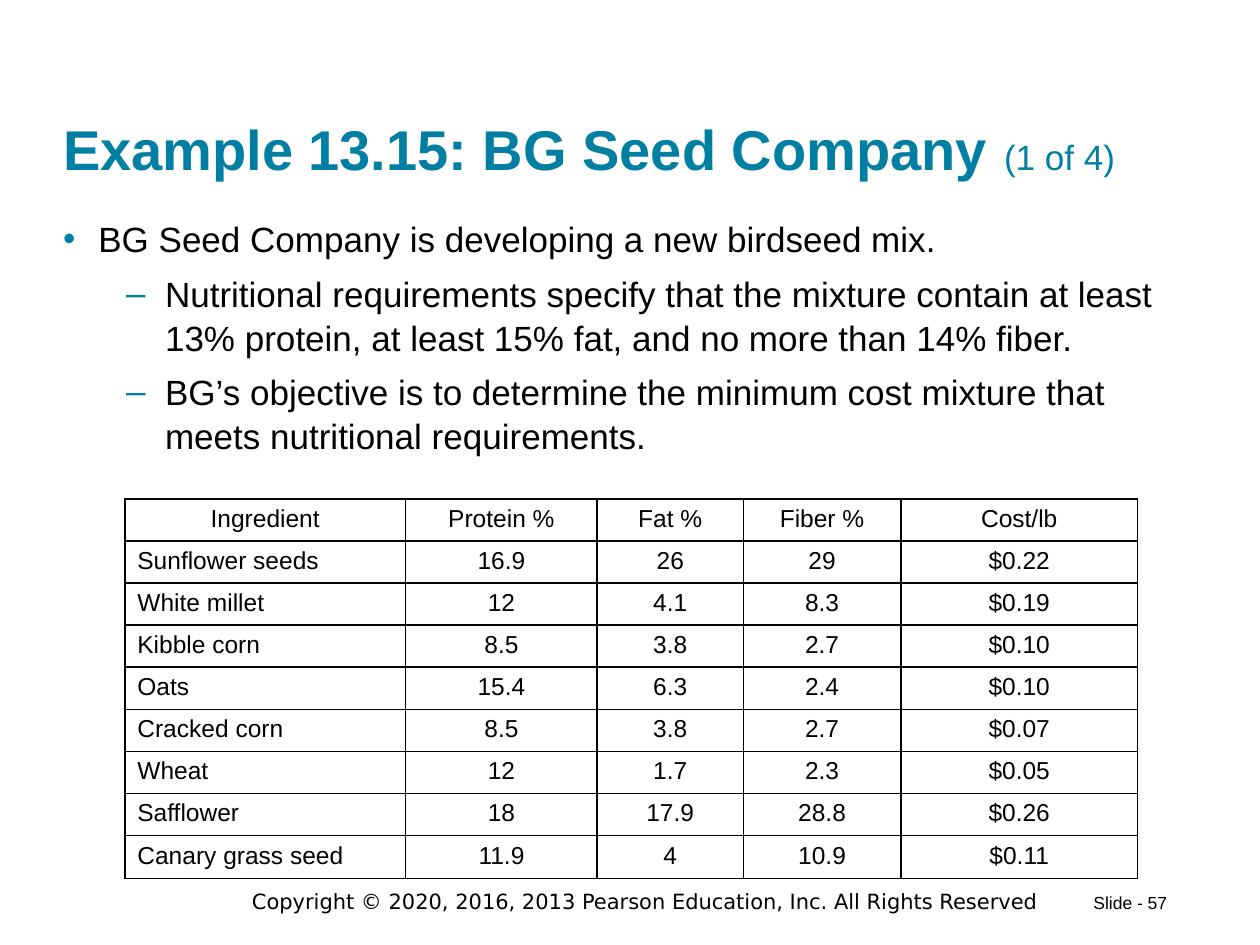
"""Build the birdseed mix example slide with its ingredient table."""
from lxml import etree
from pptx import Presentation
from pptx.dml.color import RGBColor
from pptx.enum.text import MSO_ANCHOR, PP_ALIGN
from pptx.oxml.ns import qn
from pptx.util import Inches, Pt

LEFT, CENTER = PP_ALIGN.LEFT, PP_ALIGN.CENTER
TOP, BOTTOM = MSO_ANCHOR.TOP, MSO_ANCHOR.BOTTOM
TEAL = RGBColor(0x00, 0x7F, 0xA3)
BLACK = RGBColor(0x00, 0x00, 0x00)

TITLE = [
    ("Example 13.15: BG Seed Company ", {"size": Pt(32), "bold": True}),
    ("(1 of 4)", {"size": Pt(20), "bold": False}),
]
POINTS = [
    (0, "BG Seed Company is developing a new birdseed mix."),
    (1, "Nutritional requirements specify that the mixture contain at least "
        "13% protein, at least 15% fat, and no more than 14% fiber."),
    (1, "BG’s objective is to determine the minimum cost mixture that "
        "meets nutritional requirements."),
]
BULLETS = [("•", 0.28, -0.28), ("–", 0.81, -0.31)]
INGREDIENTS = [
    ("Ingredient", "Protein %", "Fat %", "Fiber %", "Cost/lb"),
    ("Sunflower seeds", "16.9", "26", "29", "$0.22"),
    ("White millet", "12", "4.1", "8.3", "$0.19"),
    ("Kibble corn", "8.5", "3.8", "2.7", "$0.10"),
    ("Oats", "15.4", "6.3", "2.4", "$0.10"),
    ("Cracked corn", "8.5", "3.8", "2.7", "$0.07"),
    ("Wheat", "12", "1.7", "2.3", "$0.05"),
    ("Safflower", "18", "17.9", "28.8", "$0.26"),
    ("Canary grass seed", "11.9", "4", "10.9", "$0.11"),
]
COLUMN_WIDTHS = [2.23, 1.52, 1.16, 1.25, 1.88]
ROW_HEIGHT, LAST_ROW_HEIGHT = 0.3, 0.34
FOOTERS = [
    ("Copyright © 2020, 2016, 2013 Pearson Education, Inc. All Rights Reserved",
     (1.83, 7, 6.58, 0.3), CENTER, {"name": "DejaVu Sans", "size": Pt(12)}),
    ("Slide - 57", (8.58, 7.03, 0.81, 0.27), LEFT, {"size": Pt(10)}),
]


def set_values(target, values):
    for name, value in values.items():
        setattr(target, name, value)


def add_span(para, text, color=BLACK, **font):
    span = para.add_run()
    span.text = text
    set_values(span.font, {"name": "Arial", **font})
    span.font.color.rgb = color


def set_frame(frame, margins, anchor=TOP):
    names = ("margin_left", "margin_top", "margin_right", "margin_bottom")
    set_values(frame, dict(zip(names, map(Inches, margins))))
    set_values(frame, {"word_wrap": True, "vertical_anchor": anchor})


def add_box(slide, place, margins):
    box = slide.shapes.add_textbox(*map(Inches, place))
    set_frame(box.text_frame, margins)
    return box.text_frame


def add_bullet(para, mark, margin, indent):
    properties = para._p.get_or_add_pPr()
    properties.set("marL", str(Inches(margin)))
    properties.set("indent", str(Inches(indent)))
    color = etree.SubElement(properties, qn("a:buClr"))
    etree.SubElement(color, qn("a:srgbClr"), val=str(TEAL))
    etree.SubElement(properties, qn("a:buFont"), typeface="Arial")
    etree.SubElement(properties, qn("a:buChar"), char=mark)


def add_borders(cell):
    properties = cell._tc.get_or_add_tcPr()
    for position, side in enumerate(("lnL", "lnR", "lnT", "lnB")):
        line = etree.Element(qn(f"a:{side}"), w=str(Pt(1)))
        fill = etree.SubElement(line, qn("a:solidFill"))
        etree.SubElement(fill, qn("a:srgbClr"), val=str(BLACK))
        properties.insert(position, line)


def add_title(slide):
    title = slide.shapes.title
    places = map(Inches, (0.5, 0.24, 8.89, 1.2))
    set_values(title, dict(zip(("left", "top", "width", "height"), places)))
    set_frame(title.text_frame, (0, 0.1, 0, 0), BOTTOM)
    para = title.text_frame.paragraphs[0]
    para.alignment = LEFT
    for text, font in TITLE:
        add_span(para, text, TEAL, **font)


def add_points(slide):
    frame = add_box(slide, (0.5, 1.71, 8.89, 2.07), (0, 0, 0, 0))
    for index, (level, text) in enumerate(POINTS):
        para = frame.add_paragraph() if index else frame.paragraphs[0]
        set_values(para, {"level": level, "line_spacing": 1.05})
        if index:
            para.space_before = Pt(6)
        add_bullet(para, *BULLETS[level])
        add_span(para, text, size=Pt(20))


def add_ingredients(slide):
    heights = [ROW_HEIGHT] * (len(INGREDIENTS) - 1) + [LAST_ROW_HEIGHT]
    place = map(Inches, (0.99, 3.96, sum(COLUMN_WIDTHS), sum(heights)))
    table = slide.shapes.add_table(len(heights), len(COLUMN_WIDTHS), *place).table
    set_values(table, {"first_row": False, "horz_banding": False})
    for column, width in zip(table.columns, COLUMN_WIDTHS):
        column.width = Inches(width)
    for row, height, values in zip(table.rows, heights, INGREDIENTS):
        row.height = Inches(height)
        for index, (cell, text) in enumerate(zip(row.cells, values)):
            cell.fill.background()
            add_borders(cell)
            para = cell.text_frame.paragraphs[0]
            is_name = index == 0 and values is not INGREDIENTS[0]
            para.alignment = LEFT if is_name else CENTER
            add_span(para, text, size=Pt(14))


def add_footers(slide):
    for text, place, alignment, font in FOOTERS:
        para = add_box(slide, place, (0.1, 0.05, 0.1, 0.05)).paragraphs[0]
        para.alignment = alignment
        add_span(para, text, **font)


def main():
    deck = Presentation()
    deck.slide_width, deck.slide_height = Inches(10), Inches(7.5)
    slide = deck.slides.add_slide(deck.slide_layouts.get_by_name("Title Only"))
    add_footers(slide)
    add_title(slide)
    add_points(slide)
    add_ingredients(slide)
    deck.save("out.pptx")


if __name__ == "__main__":
    main()
